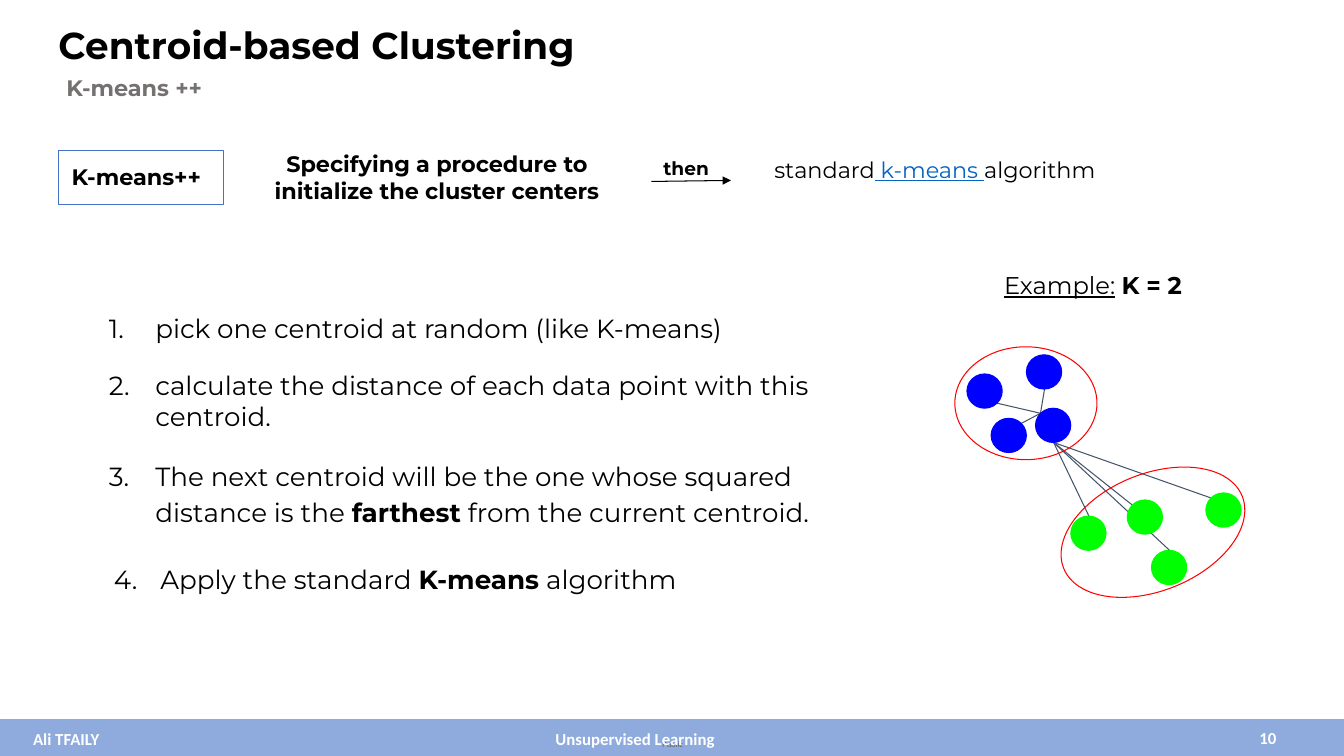
from collections import namedtuple

from lxml import etree
from pptx import Presentation
from pptx.dml.color import RGBColor
from pptx.enum.shapes import MSO_CONNECTOR as LINK, MSO_SHAPE as SHAPE
from pptx.enum.text import MSO_ANCHOR as ANCHOR, PP_ALIGN as ALIGN
from pptx.oxml.ns import qn
from pptx.util import Pt

PX = 9144  # 100 px to the inch
BLACK = RGBColor(0x00, 0x00, 0x00)
WHITE = RGBColor(0xFF, 0xFF, 0xFF)
GREY = RGBColor(0x76, 0x71, 0x71)
DIM = RGBColor(0x62, 0x64, 0x69)
BAND = RGBColor(0x8F, 0xAA, 0xDC)
FRAME = RGBColor(0x44, 0x72, 0xC4)
LINK_BLUE = RGBColor(0x05, 0x63, 0xC1)
SLATE = RGBColor(0x44, 0x54, 0x6A)
BLUE = RGBColor(0x00, 0x00, 0xFF)
GREEN = RGBColor(0x00, 0xFF, 0x00)
RED = RGBColor(0xFF, 0x00, 0x00)
ROOMY = (13, 13, 13, 13)
DOT_WIDTH, DOT_HEIGHT = 35, 34


class Box(namedtuple("Box", "left top width height")):
    def inner(self, left, top, width, height):
        """Box placed relative to this one."""
        return Box(self.left + left, self.top + top, width, height)

    def emu(self):
        return [length * PX for length in self]


def add_number(para, start):
    """Number a paragraph, with a hanging indent."""
    props = para._p.get_or_add_pPr()
    props.set("marL", str(67 * PX))
    props.set("indent", str(-46 * PX))
    colour = etree.SubElement(props, qn("a:buClr"))
    etree.SubElement(colour, qn("a:srgbClr"), val=str(BLACK))
    etree.SubElement(props, qn("a:buFont"), typeface="Montserrat")
    etree.SubElement(props, qn("a:buAutoNum"), type="arabicPeriod", startAt=str(start))


def write(shape, runs, size=16, font="Montserrat", colour=BLACK, bold=False,
          align=ALIGN.LEFT, anchor=ANCHOR.TOP, insets=ROOMY, spacing=None,
          number=None, wrap=True):
    """Fill a shape with one paragraph; runs is a string or (text, format) pairs."""
    frame = shape.text_frame
    frame.word_wrap = wrap
    frame.vertical_anchor = anchor
    (frame.margin_left, frame.margin_top,
     frame.margin_right, frame.margin_bottom) = [inset * PX for inset in insets]
    para = frame.paragraphs[0]
    if number:
        add_number(para, number)
    para.alignment = align
    if spacing:
        para.line_spacing = spacing
    for text, change in [(runs, {})] if isinstance(runs, str) else runs:
        run = para.add_run()
        run.text = text
        run.font.name = font
        run.font.size = Pt(size)
        run.font.bold = change.get("bold", bold)
        run.font.underline = change.get("underline", False)
        run.font.color.rgb = change.get("colour", colour)


def add_text(page, box, runs, **style):
    write(page.shapes.add_textbox(*box.emu()), runs, **style)


def add_shape(page, kind, box, fill=None, line=BLACK, weight=0.75):
    shape = page.shapes.add_shape(kind, *box.emu())
    shape.shadow.inherit = False
    if fill is None:
        shape.fill.background()
    else:
        shape.fill.solid()
        shape.fill.fore_color.rgb = fill
    shape.line.color.rgb = line
    shape.line.width = Pt(weight)
    return shape


def add_line(page, box, start, end, colour, arrow=False):
    """Line between two points relative to a box."""
    points = [(box.left + x, box.top + y) for x, y in (start, end)]
    line = page.shapes.add_connector(
        LINK.STRAIGHT, *[length * PX for point in points for length in point])
    line.line.color.rgb = colour
    line.line.width = Pt(0.75)
    props = line._element.spPr
    if arrow:
        etree.SubElement(props.find(qn("a:ln")), qn("a:tailEnd"), type="triangle")
    etree.SubElement(props, qn("a:effectLst"))


def add_footer(page, box):
    style = dict(size=12, font="Calibri", colour=WHITE, bold=True, anchor=ANCHOR.MIDDLE)
    tight = (10, 5, 10, 5)
    add_shape(page, SHAPE.RECTANGLE, box, BAND, BAND, 1)
    add_text(page, box.inner(657, 19, 22, 10), "Public", size=6, font="Calibri",
             colour=DIM, insets=(0, 0, 0, 0), wrap=False)
    add_text(page, box.inner(23, -1, 104, 40), "Ali TFAILY", insets=tight, **style)
    add_text(page, box.inner(405, -1, 450, 40), "Unsupervised Learning",
             align=ALIGN.CENTER, insets=tight, **style)
    add_text(page, box.inner(1236, 7, 55, 22), "10", insets=(13, 13, 0, 13), **style)


def add_header(page, box):
    add_text(page, box.inner(0, 0, 596, 60), "Centroid-based Clustering", size=26.7,
             bold=True, spacing=0.9, insets=(13, 8, 13, 8))
    add_text(page, box.inner(11, 50, 264, 37), "K-means ++", colour=GREY, bold=True,
             insets=(10, 5, 10, 5))


def add_pipeline(page, box):
    name = add_shape(page, SHAPE.RECTANGLE, box.inner(0, 14, 164, 54), line=FRAME)
    write(name, "K-means++", bold=True)
    add_text(page, box.inner(193, 0, 365, 81),
             "Specifying a procedure to initialize the cluster centers",
             bold=True, align=ALIGN.CENTER, anchor=ANCHOR.MIDDLE)
    add_line(page, box, (588, 45), (667, 44), BLACK, arrow=True)
    add_text(page, box.inner(587, 9, 80, 49), "then", size=13.3, bold=True)
    add_text(page, box.inner(697, 7, 365, 54), [
        ("standard", {}),
        (" k-means ", {"colour": LINK_BLUE, "underline": True}),
        ("algorithm", {})])


def add_steps(page, box):
    strong = {"bold": True}
    steps = [
        (0, 0, 58, None, "pick one centroid at random (like K-means)"),
        (0, 56, 90, None, "calculate the distance of each data point with this centroid."),
        (0, 142, 99, 1.15, [
            ("The next centroid will be the one whose squared distance is the ", {}),
            ("farthest", strong), (" from the current centroid.", {})]),
        (5, 249, 58, None, [
            ("Apply the standard ", {}), ("K-means", strong), (" algorithm", {})]),
    ]
    for number, (left, top, height, spacing, runs) in enumerate(steps, 1):
        add_text(page, box.inner(left, top, box.width, height), runs, size=18.7,
                 spacing=spacing, number=number)


def add_example(page, box):
    """Two clusters, with distances measured from one blue centroid."""
    add_text(page, box.inner(36, 0, 221, 60), [
        ("Example:", {"underline": True}), (" ", {}), ("K = 2", {"bold": True})],
        size=17.3, spacing=1.15)
    distances = {
        (98, 188): [(176, 250), (254, 243), (213, 295), (133, 261)],
        (85, 159): [(89, 135), (42, 149), (66, 169)],
    }
    for start, ends in distances.items():
        for end in ends:
            add_line(page, box, start, end, SLATE)
    dots = [
        (BLUE, [(80, 154), (71, 101), (12, 120), (36, 164)]),
        (GREEN, [(249, 238), (195, 295), (171, 245), (115, 261)]),
    ]
    for colour, places in dots:
        for left, top in places:
            add_shape(page, SHAPE.OVAL, box.inner(left, top, DOT_WIDTH, DOT_HEIGHT),
                      colour, colour)
    add_shape(page, SHAPE.OVAL, box.inner(0, 93, 141, 112), line=RED)
    tilted = add_shape(page, SHAPE.OVAL, box.inner(101, 219, 191, 116), line=RED)
    tilted.rotation = 337.9


def main():
    deck = Presentation()
    deck.slide_width, deck.slide_height = 1333 * PX, 750 * PX
    page = deck.slides.add_slide(deck.slide_layouts[6])
    add_footer(page, Box(0, 714, 1333, 35))
    add_header(page, Box(45, 19, 596, 87))
    add_pipeline(page, Box(58, 135, 1062, 81))
    add_steps(page, Box(74, 297, 742, 307))
    add_example(page, Box(947, 251, 292, 335))
    deck.save("out.pptx")


if __name__ == "__main__":
    main()
